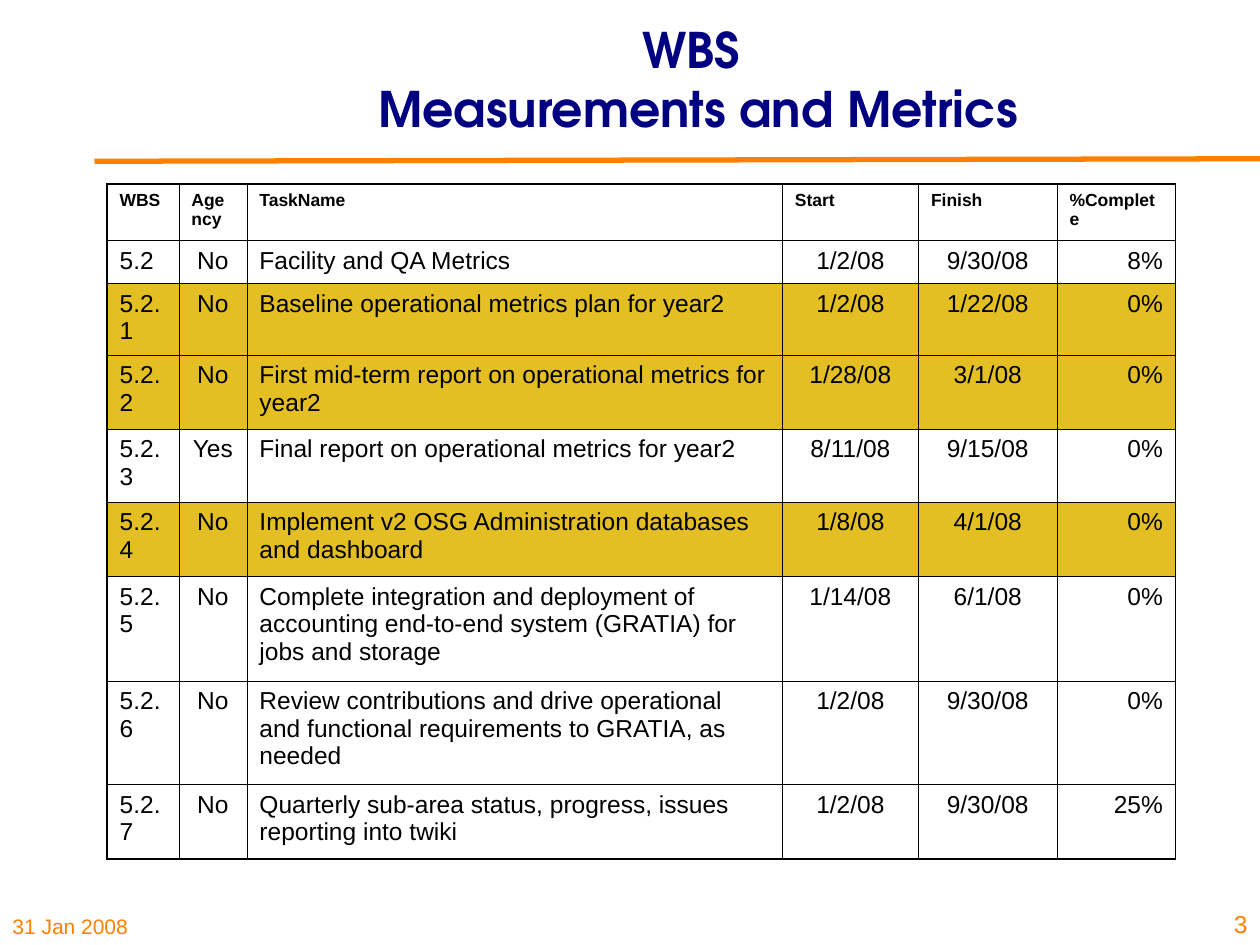
from copy import deepcopy

from lxml.etree import SubElement
from pptx import Presentation
from pptx.dml.color import RGBColor
from pptx.enum.shapes import MSO_CONNECTOR
from pptx.enum.text import MSO_ANCHOR, MSO_AUTO_SIZE, PP_ALIGN
from pptx.oxml.ns import qn
from pptx.util import Inches, Pt

COLORS = {"title": "000080", "accent": "FF8000", "text": "000000", "highlight": "E3BF24"}
LEFT, CENTER, RIGHT = PP_ALIGN.LEFT, PP_ALIGN.CENTER, PP_ALIGN.RIGHT

TITLE = "WBS \vMeasurements and Metrics"
DATE = "31 Jan 2008"
PAGE = "3"
COLUMNS = [
    ("WBS", 0.57, LEFT),
    ("Agency", 0.54, CENTER),
    ("TaskName", 4.25, LEFT),
    ("Start", 1.08, CENTER),
    ("Finish", 1.1, CENTER),
    ("%Complete", 0.94, RIGHT),
]
TASKS = [
    ("5.2", "No", "Facility and QA Metrics", "1/2/08", "9/30/08", "8%"),
    ("5.2.1", "No", "Baseline operational metrics plan for year2", "1/2/08", "1/22/08", "0%"),
    ("5.2.2", "No", "First mid-term report on operational metrics for year2",
     "1/28/08", "3/1/08", "0%"),
    ("5.2.3", "Yes", "Final report on operational metrics for year2",
     "8/11/08", "9/15/08", "0%"),
    ("5.2.4", "No", "Implement v2 OSG Administration databases and dashboard",
     "1/8/08", "4/1/08", "0%"),
    ("5.2.5", "No", "Complete integration and deployment of accounting end-to-end system "
     "(GRATIA) for jobs and storage", "1/14/08", "6/1/08", "0%"),
    ("5.2.6", "No", "Review contributions and drive operational and functional requirements "
     "to GRATIA, as needed", "1/2/08", "9/30/08", "0%"),
    ("5.2.7", "No", "Quarterly sub-area status, progress, issues reporting into twiki",
     "1/2/08", "9/30/08", "25%"),
]
HIGHLIGHTED = {"5.2.1", "5.2.2", "5.2.4"}
ROW_HEIGHTS = [0.45, 0.34, 0.56, 0.59, 0.58, 0.59, 0.83, 0.82, 0.59]
INNER, OUTER = 0.45, 1.08


def color(name):
    return RGBColor.from_string(COLORS[name])


def write(frame, text, size=14, font="Arial", ink="text", bold=False, align=LEFT):
    paragraph = frame.paragraphs[0]
    paragraph.text = text
    paragraph.alignment = align
    for run in paragraph.runs:
        run.font.size = Pt(size)
        run.font.name = font
        run.font.bold = bold
        run.font.color.rgb = color(ink)
    for line_break in paragraph._p.findall(qn("a:br")):
        line_break.insert(0, deepcopy(paragraph.runs[0].font._element))


def set_borders(cell, widths):
    properties = cell._tc.get_or_add_tcPr()
    for position, (side, width) in enumerate(widths.items()):
        border = properties.makeelement(qn(f"a:{side}"), {"w": str(Pt(width))})
        fill = SubElement(border, qn("a:solidFill"))
        SubElement(fill, qn("a:srgbClr"), val=COLORS["text"])
        properties.insert(position, border)


def add_title(slide):
    title = slide.shapes.title
    title.left, title.top, title.width, title.height = map(Inches, (1.74, 0, 7.6, 1.25))
    frame = title.text_frame
    frame.auto_size = MSO_AUTO_SIZE.NONE
    frame.vertical_anchor = MSO_ANCHOR.MIDDLE
    write(frame, TITLE, size=28, font="TeX Gyre Adventor", ink="title", bold=True, align=CENTER)


def add_rule(slide):
    rule = slide.shapes.add_connector(
        MSO_CONNECTOR.STRAIGHT, Inches(0.75), Inches(1.28), Inches(10), Inches(1.26))
    rule.line.color.rgb = color("accent")
    rule.line.width = Pt(3)
    SubElement(rule._element.spPr, qn("a:effectLst"))


def add_footer(slide, text, bounds, **text_format):
    footer = slide.shapes.add_textbox(*map(Inches, bounds))
    frame = footer.text_frame
    frame.word_wrap = True
    frame.vertical_anchor = MSO_ANCHOR.BOTTOM
    write(frame, text, ink="accent", **text_format)


def add_task_table(slide):
    headings, widths, alignments = zip(*COLUMNS)
    rows = [headings, *TASKS]
    table = slide.shapes.add_table(
        len(rows), len(COLUMNS), Inches(0.85), Inches(1.46),
        Inches(sum(widths)), Inches(sum(ROW_HEIGHTS))).table
    table.horz_banding = False
    for column, width in zip(table.columns, widths):
        column.width = Inches(width)
    for row, height in zip(table.rows, ROW_HEIGHTS):
        row.height = Inches(height)
    last_row, last_column = len(rows) - 1, len(COLUMNS) - 1
    for r, values in enumerate(rows):
        for c, value in enumerate(values):
            cell = table.cell(r, c)
            if values[0] in HIGHLIGHTED:
                cell.fill.solid()
                cell.fill.fore_color.rgb = color("highlight")
            else:
                cell.fill.background()
            if r == 0:
                write(cell.text_frame, value, size=10, bold=True)
            else:
                write(cell.text_frame, value, align=alignments[c])
            set_borders(cell, {
                "lnL": OUTER if c == 0 else INNER,
                "lnR": OUTER if c == last_column else INNER,
                "lnT": OUTER if r == 0 else INNER,
                "lnB": OUTER if r == last_row else INNER,
            })


def main():
    """Build the WBS measurements and metrics slide."""
    deck = Presentation()
    deck.slide_width, deck.slide_height = Inches(10), Inches(7.5)
    slide = deck.slides.add_slide(deck.slide_layouts[5])
    add_footer(slide, DATE, (0, 7.08, 2.48, 0.42), size=12)
    add_rule(slide)
    add_title(slide)
    add_task_table(slide)
    add_footer(slide, PAGE, (9.54, 7, 0.46, 0.5), align=RIGHT)
    deck.save("out.pptx")


if __name__ == "__main__":
    main()
